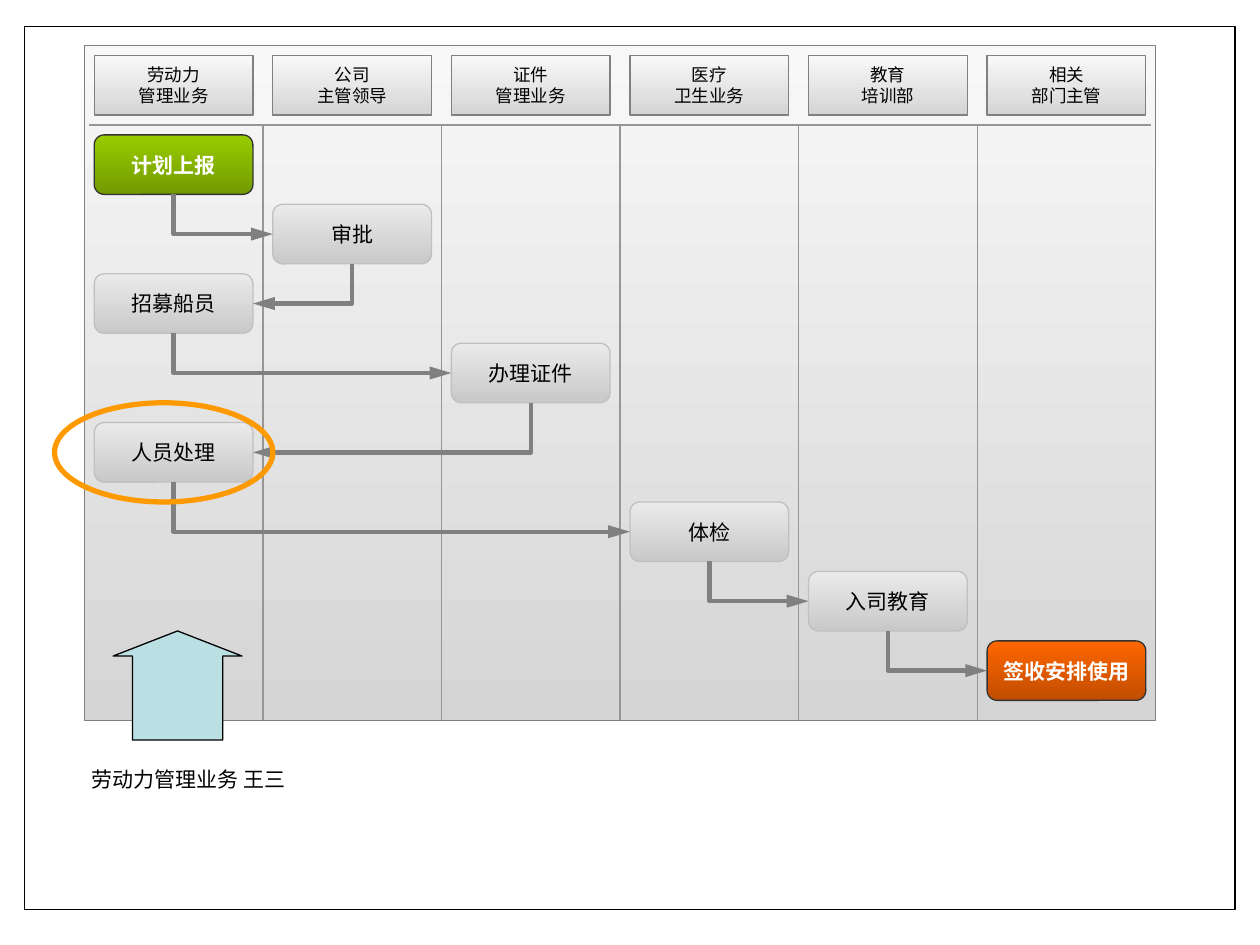
import pptx
import pptx.util
from pptx.dml.color import RGBColor
from pptx.enum.shapes import MSO_CONNECTOR, MSO_SHAPE
from pptx.enum.text import MSO_ANCHOR, PP_ALIGN
from pptx.oxml.ns import qn
from lxml import etree

COLORS = {
    "white": "FFFFFF", "black": "000000", "border": "808080", "divider": "969696",
    "panel_top": "F8F8F8", "panel_end": "D5D5D5",
    "step_top": "EAEAEA", "step_end": "C9C9C9", "step_edge": "C0C0C0",
    "start_top": "99CC00", "start_end": "739A00",
    "finish_top": "FF6600", "finish_end": "C14D00", "strong_edge": "333333",
    "pointer": "BBE0E3", "highlight": "FF9900",
}
PANEL = ("panel_top", "panel_end")
STEP = ("step_top", "step_end")
START = ("start_top", "start_end")
FINISH = ("finish_top", "finish_end")

# Grid units inside the swimlane panel
LANE_WIDTH, PANEL_ROWS, HEADER_ROWS = 18, 68, 8
BOX_WIDTH, BOX_ROWS = 16, 6

DEPARTMENTS = ["劳动力\v管理业务", "公司\v主管领导", "证件\n管理业务",
               "医疗\v卫生业务", "教育\v培训部", "相关\v部门主管"]
# Lane, top row, label
STEPS = [
    (0, 9, "计划上报"), (1, 16, "审批"), (0, 23, "招募船员"), (2, 30, "办理证件"),
    (0, 38, "人员处理"), (3, 46, "体检"), (4, 53, "入司教育"), (5, 60, "签收安排使用"),
]


class FlowSlide:
    """Draws on a 2 mm grid whose origin is the panel's top left corner."""
    latin_font = "Arial"
    chinese_font = "Noto Sans CJK SC"

    def __init__(self, slide):
        self.slide = slide

    def color(self, name):
        return RGBColor.from_string(COLORS[name])

    def x(self, columns):
        return pptx.util.Mm(17 + 2 * columns)

    def y(self, rows):
        return pptx.util.Mm(9.2 + 2 * rows)

    def place(self, column, row, columns, rows):
        return (self.x(column), self.y(row),
                pptx.util.Mm(2 * columns), pptx.util.Mm(2 * rows))

    def shape(self, kind, place, fill, edge, width=0.75, adjustments=()):
        """Fill is a colour name, a pair of them for a gradient, or None."""
        shape = self.slide.shapes.add_shape(kind, *self.place(*place))
        shape.shadow.inherit = False
        if fill is None:
            shape.fill.background()
        elif isinstance(fill, tuple):
            shape.fill.gradient()
            shape.fill.gradient_angle = 270
            for stop, name in zip(shape.fill.gradient_stops, fill):
                stop.color.rgb = self.color(name)
            shape.fill.gradient_stops[0].position = 0
            shape.fill.gradient_stops[1].position = 1
        else:
            shape.fill.solid()
            shape.fill.fore_color.rgb = self.color(fill)
        shape.line.color.rgb = self.color(edge)
        shape.line.width = pptx.util.Pt(width)
        for index, value in enumerate(adjustments):
            shape.adjustments[index] = value
        return shape

    def label(self, shape, text, size, color="black", bold=False, font=latin_font):
        frame = shape.text_frame
        frame.text = text
        for paragraph in frame.paragraphs:
            paragraph.alignment = PP_ALIGN.CENTER
            for run in paragraph.runs:
                run.font.size = pptx.util.Pt(size)
                run.font.bold = bold
                run.font.name = font
                run.font.color.rgb = self.color(color)
                east_asian = etree.SubElement(run.font._element, qn("a:ea"))
                east_asian.set("typeface", self.chinese_font)

    def box(self, kind, lane, row, text, size, fill, edge, color="black", bold=False):
        place = (lane * LANE_WIDTH + 1, row, BOX_WIDTH, BOX_ROWS)
        box = self.shape(kind, place, fill, edge)
        box.text_frame.word_wrap = False
        box.text_frame.vertical_anchor = MSO_ANCHOR.MIDDLE
        self.label(box, text, size, color, bold)
        return box

    def caption(self, place, text):
        caption = self.slide.shapes.add_textbox(*self.place(*place))
        caption.text_frame.word_wrap = True
        self.label(caption, text, 12, font=self.chinese_font)

    def style_line(self, line, color, width):
        line.line.color.rgb = self.color(color)
        line.line.width = pptx.util.Pt(width)
        etree.SubElement(line.element.spPr, qn("a:effectLst"))

    def divider(self, column, row, end_column, end_row):
        line = self.slide.shapes.add_connector(
            MSO_CONNECTOR.STRAIGHT, self.x(column), self.y(row),
            self.x(end_column), self.y(end_row))
        self.style_line(line, "divider", 0.75)

    def flow(self, source, target):
        """Arrow going down from source, then sideways into target."""
        rightward = target.left > source.left
        start_x, start_y = source.left + source.width // 2, source.top + source.height
        end_x = target.left if rightward else target.left + target.width
        end_y = target.top + target.height // 2
        arrow = self.slide.shapes.add_connector(
            MSO_CONNECTOR.ELBOW, start_x, start_y, end_x, end_y)
        arrow.begin_connect(source, 2)
        arrow.end_connect(target, 1 if rightward else 3)

        # A one-bend connector runs sideways first, so it is turned a quarter
        properties = arrow.element.spPr
        properties.find(qn("a:prstGeom")).set("prst", "bentConnector2")
        transform = properties.find(qn("a:xfrm"))
        transform.attrib.clear()
        transform.set("rot", str((270 if rightward else 90) * 60000))
        if rightward:
            transform.set("flipH", "1")
        arrow.width, arrow.height = end_y - start_y, abs(end_x - start_x)
        arrow.left = (start_x + end_x - arrow.width) // 2
        arrow.top = (start_y + end_y - arrow.height) // 2

        self.style_line(arrow, "border", 2.5)
        etree.SubElement(arrow.line._get_or_add_ln(), qn("a:tailEnd"),
                         type="triangle", w="med", len="lg")


def main():
    deck = pptx.Presentation()
    deck.slide_width, deck.slide_height = pptx.util.Inches(10), pptx.util.Inches(7.5)
    page = FlowSlide(deck.slides.add_slide(deck.slide_layouts[6]))

    page.shape(MSO_SHAPE.RECTANGLE, (-6, -1.9, 122, 89), "white", "black")
    page.caption((-1, 72, 23, 3.8), "劳动力管理业务 王三")

    panel_width = LANE_WIDTH * len(DEPARTMENTS)
    page.shape(MSO_SHAPE.RECTANGLE, (0, 0, panel_width, PANEL_ROWS), PANEL, "border")
    for lane, department in enumerate(DEPARTMENTS):
        page.box(MSO_SHAPE.RECTANGLE, lane, 1, department, 10, PANEL, "border")
    page.divider(0.5, HEADER_ROWS, panel_width - 0.5, HEADER_ROWS)
    for column in range(LANE_WIDTH, panel_width, LANE_WIDTH):
        page.divider(column, HEADER_ROWS, column, PANEL_ROWS)

    emphasis = {STEPS[0]: START, STEPS[-1]: FINISH}
    steps = []
    for step in STEPS:
        strong = step in emphasis
        steps.append(page.box(
            MSO_SHAPE.ROUNDED_RECTANGLE, *step, 12, emphasis.get(step, STEP),
            "strong_edge" if strong else "step_edge",
            "white" if strong else "black", strong))
    for source, target in zip(steps, steps[1:]):
        page.flow(source, target)

    page.shape(MSO_SHAPE.UP_ARROW, (2.9, 59, 13, 11), "pointer", "black",
               adjustments=(0.7, 0.23))
    page.shape(MSO_SHAPE.OVAL, (-3, 36, 22, 10), None, "highlight", 3)
    deck.save("out.pptx")


if __name__ == "__main__":
    main()
